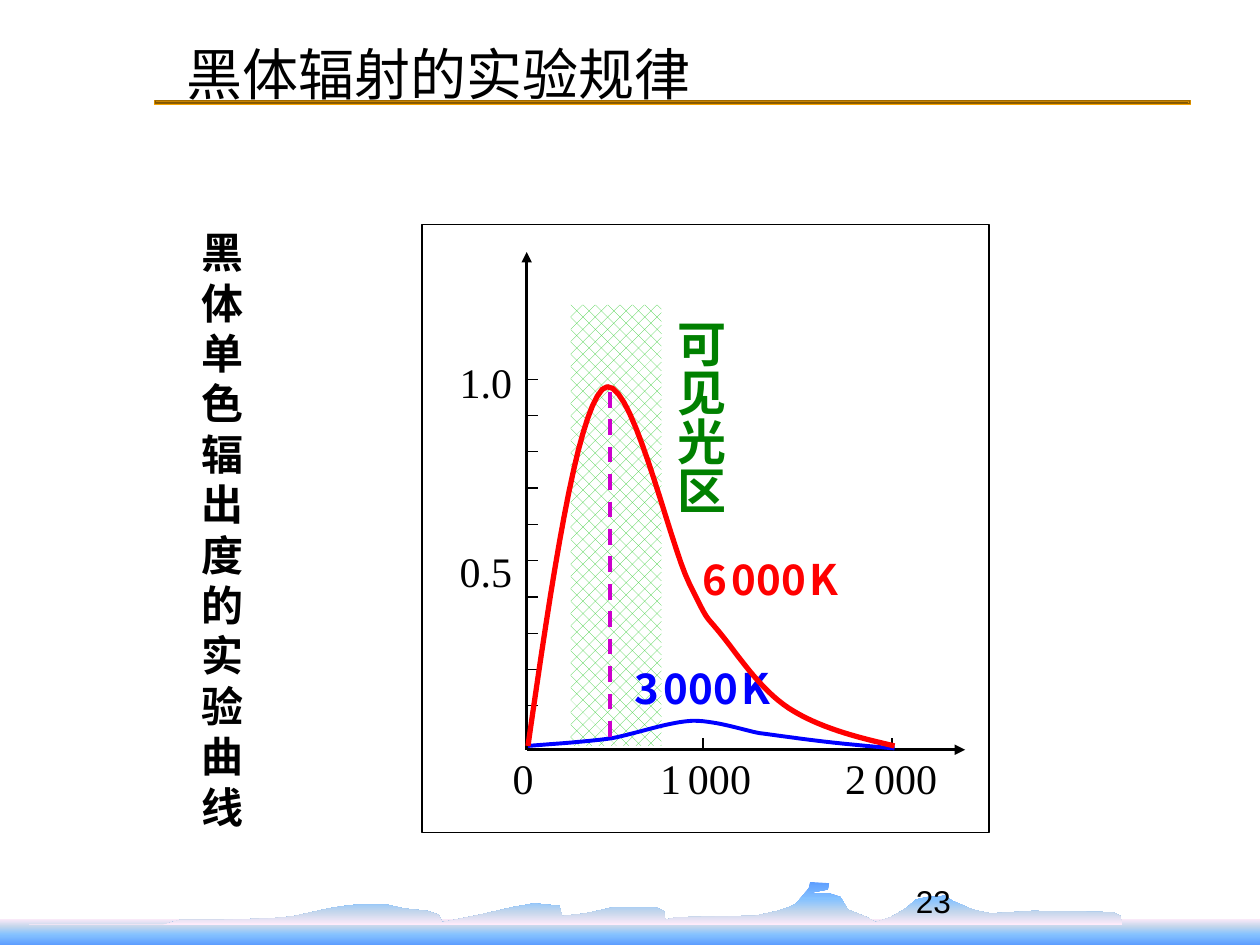
import lxml.etree
import pptx
import pptx.dml.color
import pptx.enum.dml
import pptx.enum.shapes
import pptx.enum.text
import pptx.oxml
import pptx.oxml.ns
import pptx.util

# The slide is a grid of 100 columns by 75 rows
CELL = pptx.util.Inches(0.1)
COLS, ROWS = 100, 75
SERIF, SANS = "Times New Roman", "Noto Sans CJK SC"
AXIS_X, AXIS_Y = 41.8, 59.5
ANCHOR = pptx.enum.text.MSO_ANCHOR
RECT = pptx.enum.shapes.MSO_SHAPE.RECTANGLE
DASH = pptx.enum.dml.MSO_LINE.DASH

# Skyline points as column, row
HILLS = [
    (2.3, 73.4), (13, 73.4), (14.3, 73), (17.8, 73), (21.4, 72.9),
    (22.6, 72.8), (23.4, 72.7), (24.3, 72.5), (26.1, 72.1), (27.4, 71.9),
    (28.3, 71.8), (30.7, 71.8), (32, 72.1), (33.9, 72.3), (34.8, 72.6),
    (35.1, 73.2), (38.1, 72.6), (39.4, 72.3), (40.7, 72), (42.4, 71.7),
    (44.4, 71.9), (44.6, 72.7), (46.5, 72.5), (48.7, 72), (52, 72),
    (52.7, 72.3), (52.8, 73), (53.7, 72.8), (58.9, 72.7), (59.9, 72.7),
    (61.7, 72.3), (62.6, 72), (63.2, 71.7), (64.2, 70.5), (64.3, 70),
    (65.8, 70.1), (65.7, 70.6), (64.1, 70.9), (65.8, 70.9), (66.7, 71.2),
    (67.3, 72.2), (68.8, 72.8), (69.5, 73.2), (70.7, 72.8), (71.9, 72.1),
    (72.7, 71.4), (73.6, 71.2), (75, 71.1), (75.6, 71.5), (77.2, 72.2),
    (78.6, 72.5), (82, 72.3), (88.3, 72.4), (88.9, 72.7), (89.1, 73.4),
]

# Cubic curves: a start, then two handles and an end for each piece
COOL = [
    (41.9, 59.2), (43, 59.1), (46.3, 58.9), (48.5, 58.6),
    (50.6, 58.2), (53, 57.3), (55, 57.2),
    (57, 57.2), (59.5, 58.1), (60.4, 58.2),
    (61.2, 58.3), (64, 58.7), (65.8, 58.9),
    (67.6, 59.1), (69.9, 59.3), (71, 59.4),
]
HOT = [
    (41.9, 59.2), (43.8, 46.1), (45.7, 33.1), (47.8, 30.9),
    (49.9, 28.8), (53.1, 43.1), (54.7, 46.3),
    (56.3, 49.5), (55.8, 48.6), (57.2, 50.3),
    (58.5, 51.9), (60.3, 54.7), (62.6, 56.2),
    (64.9, 57.7), (67.9, 58.5), (71, 59.2),
]


def tint(code):
    return pptx.dml.color.RGBColor.from_string(code)


def grid(*cells):
    return [round(c * CELL) for c in cells]


def stroke(line, code, width, dash=None):
    line.color.rgb = tint(code)
    line.width = pptx.util.Pt(width)
    if dash:
        line.dash_style = dash


def blend(shape, stops, aim):
    """Fill with a gradient of several (percent, colour) stops."""
    spot = "".join(f'<a:gs pos="{p * 1000}"><a:srgbClr val="{c}"/></a:gs>' for p, c in stops)
    fill = pptx.oxml.parse_xml(
        f'<a:gradFill {pptx.oxml.ns.nsdecls("a")}><a:gsLst>{spot}</a:gsLst>{aim}</a:gradFill>')
    shape.fill.background()
    props = shape._element.spPr
    props.replace(props.find(pptx.oxml.ns.qn("a:noFill")), fill)


def block(slide, *cells):
    shape = slide.shapes.add_shape(RECT, *grid(*cells))
    shape.shadow.inherit = False
    shape.line.fill.background()
    return shape


def outline(slide, points, close=False):
    spots = [grid(*p) for p in points]
    pen = slide.shapes.build_freeform(*spots[0])
    pen.add_line_segments(spots[1:], close=close)
    shape = pen.convert_to_shape()
    shape.shadow.inherit = False
    return shape


def curve(slide, knots, code, width, steps=16):
    points = [knots[0]]
    for i in range(0, len(knots) - 1, 3):
        for n in range(1, steps + 1):
            t = n / steps
            share = ((1 - t) ** 3, 3 * t * (1 - t) ** 2, 3 * t * t * (1 - t), t ** 3)
            points.append([sum(s * k[axis] for s, k in zip(share, knots[i:i + 4]))
                           for axis in (0, 1)])
    shape = outline(slide, points)
    shape.fill.background()
    stroke(shape.line, code, width)


def rule(slide, start, end, width, code="000000", dash=None, arrow=False):
    kind = pptx.enum.shapes.MSO_CONNECTOR.STRAIGHT
    line = slide.shapes.add_connector(kind, *grid(*start, *end))
    stroke(line.line, code, width, dash)
    props = line._element.spPr
    if arrow:
        lxml.etree.SubElement(props.find(pptx.oxml.ns.qn("a:ln")),
                              pptx.oxml.ns.qn("a:tailEnd"), type="triangle")
    lxml.etree.SubElement(props, pptx.oxml.ns.qn("a:effectLst"))


def write(frame, runs, font=SERIF, code="000000", bold=False, anchor=ANCHOR.TOP):
    frame.word_wrap = True
    frame.vertical_anchor = anchor
    para = frame.paragraphs[0]
    para.alignment = pptx.enum.text.PP_ALIGN.LEFT
    for text, size in runs:
        run = para.add_run()
        run.text = text
        run.font.name, run.font.bold = font, bold
        run.font.size = pptx.util.Pt(size)
        run.font.color.rgb = tint(code)
        lxml.etree.SubElement(run._r.get_or_add_rPr(), pptx.oxml.ns.qn("a:ea"), typeface=SANS)
    return para


def label(slide, cells, runs, **style):
    box = slide.shapes.add_textbox(*grid(*cells))
    write(box.text_frame, runs, **style)
    return box


def scene(slide):
    # Gold rule under the title
    bar = block(slide, 12.2, 7.9, 82.3, 0.4)
    stops = [(p, ("825600", "FFA800")[i % 2])
             for i, p in enumerate((0, 13, 28, 43, 58, 72, 87, 100))]
    blend(bar, stops, '<a:path path="shape"><a:fillToRect l="50000" t="50000" '
                      'r="50000" b="50000"/></a:path>')
    # Sea and hills
    down = '<a:lin ang="5400000" scaled="1"/>'
    shades = ["FFEBFA", "C4D6EB", "85C2FF", "5E9EFF"]
    blend(block(slide, 0, 72.9, COLS, ROWS - 72.9), list(zip((0, 30, 60, 100), shades)), down)
    hills = outline(slide, HILLS, close=True)
    hills.line.fill.background()
    blend(hills, list(zip((0, 40, 70, 100), shades[::-1])), down)


def axes(slide):
    rule(slide, (AXIS_X, AXIS_Y), (76.6, AXIS_Y), 1.5, arrow=True)
    rule(slide, (AXIS_X, AXIS_Y), (AXIS_X, 20), 1.5, arrow=True)
    for x in (55.8, 70.8):
        rule(slide, (x, 58.6), (x, AXIS_Y), 1)
    for i in range(10):
        y = 30.1 + i * 2.88
        rule(slide, (AXIS_X, y), (AXIS_X + 0.9, y), 0.75)
    # Scale numbers
    for y, text in ((27.8, "1.0"), (42.8, "0.5")):
        label(slide, (35.5, y, 6.5, 5), [(text, 24)])
    label(slide, (39.7, 59.2, 4, 5), [("0", 24)])
    for x, first, gap in ((51.4, "1", 16), (66.1, "2", 18)):
        label(slide, (x, 59.2, 11, 5), [(first, 24), (" ", gap), ("000", 24)])


def heat(slide, cells, digit, code):
    runs = [(digit, 24), (" ", 10), ("000", 24), (" ", 8), ("K", 24)]
    label(slide, cells, runs, font=SANS, code=code, bold=True)


def plot(slide):
    frame = block(slide, 33.5, 17.8, 45, 48.3)
    frame.fill.solid()
    frame.fill.fore_color.rgb = tint("FFFFFF")
    stroke(frame.line, "000000", 0.75)
    axes(slide)
    # Visible light band
    band = block(slide, 45.3, 24.2, 7.2, 35)
    band.fill.patterned()
    band.fill.pattern = pptx.enum.dml.MSO_PATTERN.PERCENT_30
    band.fill.fore_color.rgb = tint("33CC33")
    band.fill.back_color.rgb = tint("FFFFFF")
    name = label(slide, (51.7, 24.4, 6.7, 21.5), [("可见光区", 28)], code="008000", bold=True)
    name.text_frame._txBody.bodyPr.set("vert", "eaVert")
    # Curves, their names and the peak
    curve(slide, COOL, "0000FF", 2.25)
    heat(slide, (49.4, 52.1, 19, 5.8), "3", "0000FF")
    curve(slide, HOT, "FF0000", 3)
    heat(slide, (54.8, 43.4, 17.8, 5.8), "6", "FF0000")
    rule(slide, (48.4, 31.1), (48.4, 59.2), 2.25, "CC00CC", DASH)


def main():
    deck = pptx.Presentation()
    deck.slide_width, deck.slide_height = grid(COLS, ROWS)
    slide = deck.slides.add_slide(deck.slide_layouts[5])
    scene(slide)
    plot(slide)
    # Title, drawn over the gold rule
    title = slide.shapes.title
    title.left, title.top, title.width, title.height = grid(13.8, 2.6, 54.7, 7.4)
    write(title.text_frame, [("黑体辐射的实验规律", 32)], font=SANS)
    slide.shapes._spTree.append(title._element)
    # Caption, one letter a line
    side = label(slide, (15, 17.5, 7.5, 49.5), [("黑体单色辐出度的实验曲线", 24)], bold=True)
    side.text_frame.paragraphs[0].line_spacing = pptx.util.Pt(28.8)
    # Page number
    label(slide, (71.7, 69.5, 23.3, 4), [("23", 18)], font="Arial", anchor=ANCHOR.MIDDLE)
    deck.save("out.pptx")


if __name__ == "__main__":
    main()
